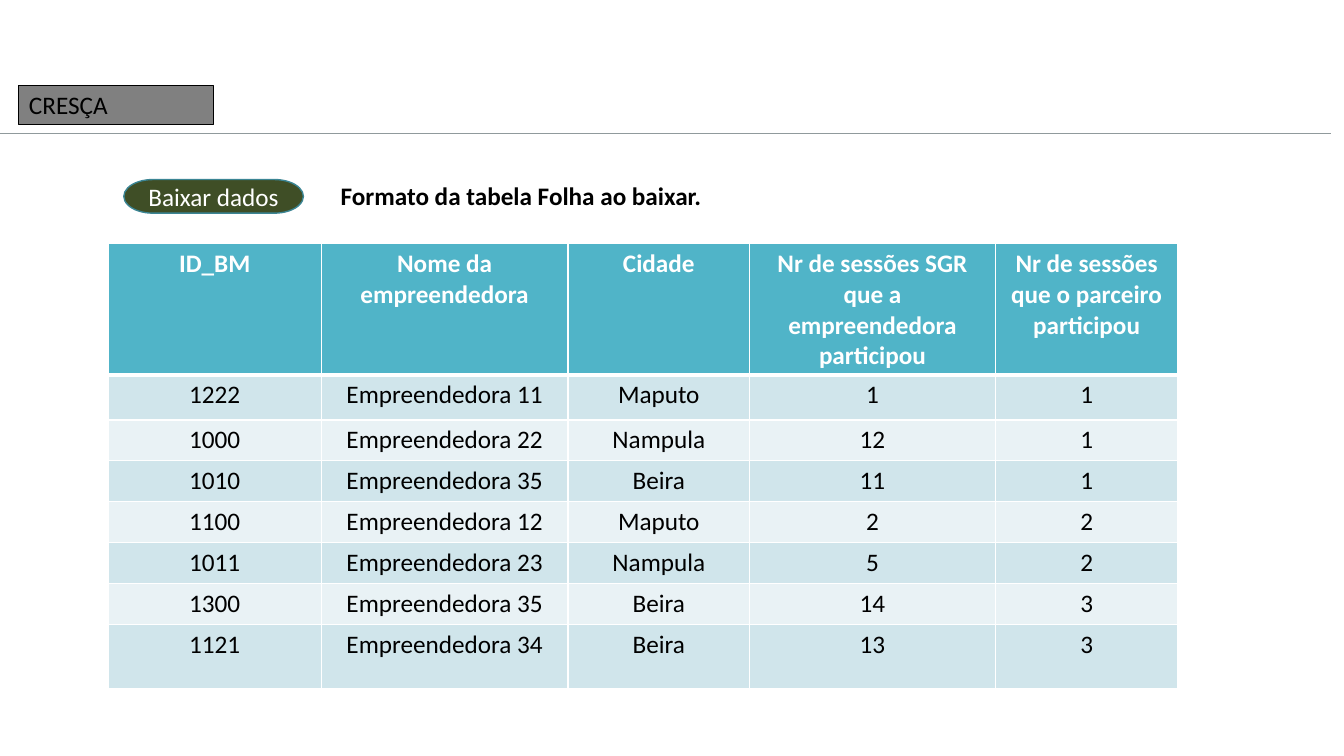
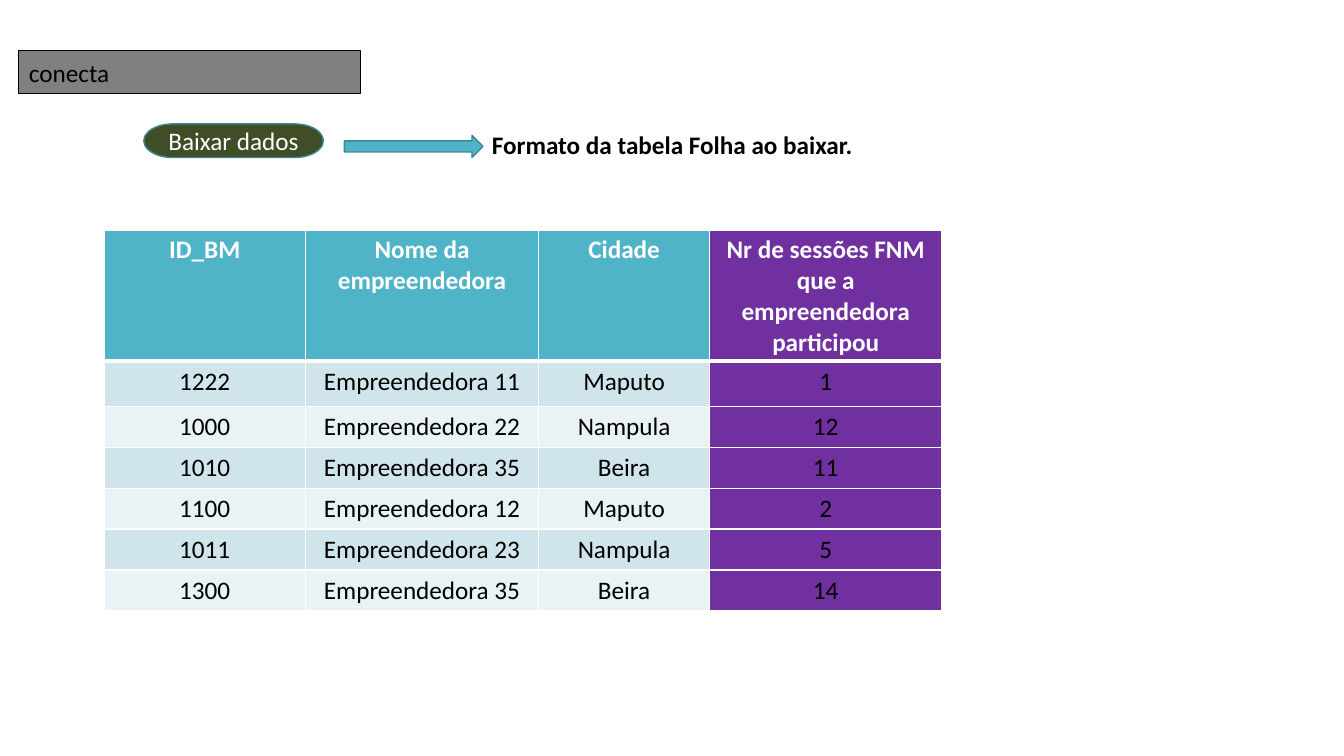
"""Builds two slides showing the spreadsheet formats offered for download."""
import pptx
import pptx.dml.color
import pptx.enum.shapes
import pptx.enum.text
import pptx.oxml
import pptx.oxml.ns
import pptx.util
from lxml import etree

RGB = pptx.dml.color.RGBColor
SHAPE = pptx.enum.shapes.MSO_SHAPE
ALIGN = pptx.enum.text.PP_ALIGN
ANCHOR = pptx.enum.text.MSO_ANCHOR

BLACK = RGB(0x00, 0x00, 0x00)
WHITE = RGB(0xFF, 0xFF, 0xFF)
GRAY = RGB(0x80, 0x80, 0x80)
DIVIDER_GRAY = RGB(0x90, 0x9A, 0x9C)
TEAL = RGB(0x50, 0xB4, 0xC8)
DARK_TEAL = RGB(0x3B, 0x85, 0x94)
OLIVE = RGB(0x3F, 0x4E, 0x26)
PURPLE = RGB(0x70, 0x30, 0xA0)
BANDS = [RGB(0xD0, 0xE5, 0xEB), RGB(0xE9, 0xF2, 0xF5)]

PX = 9525
FONT = "Calibri"
DML = pptx.oxml.ns.nsdecls("a")

ENTREPRENEURS = [
    ("1222", "Empreendedora 11", "Maputo", "1", "1"),
    ("1000", "Empreendedora 22", "Nampula", "12", "1"),
    ("1010", "Empreendedora 35", "Beira", "11", "1"),
    ("1100", "Empreendedora 12", "Maputo", "2", "2"),
    ("1011", "Empreendedora 23", "Nampula", "5", "2"),
    ("1300", "Empreendedora 35", "Beira", "14", "3"),
    ("1121", "Empreendedora 34", "Beira", "13", "3"),
]
COMMON_HEADERS = ["ID_BM", "Nome da empreendedora", "Cidade"]

PAGES = [
    {
        "title": "CRESÇA", "title_box": (18, 81, 185, 38), "title_inset": 4,
        "button": (118, 171), "caption": (315, 167),
        "divider": (-4, 127, 1268, 127), "arrow": None,
        "table": (103, 232), "widths": [203, 235, 173, 234, 174],
        "heights": [125, 43] + [39] * 5 + [61],
        "headers": COMMON_HEADERS + [
            "Nr de sessões SGR que a empreendedora participou",
            "Nr de sessões que o parceiro participou"],
        "highlight": None,
    },
    {
        "title": "conecta", "title_box": (18, 48, 325, 41), "title_inset": 7,
        "button": (137, 118), "caption": (459, 118),
        "divider": None, "arrow": (328, 129, 132, 21),
        "table": (99, 219), "widths": [192, 222, 163, 221],
        "heights": [125, 43] + [39] * 5,
        "headers": COMMON_HEADERS + [
            "Nr de sessões FNM que a empreendedora participou"],
        "highlight": 3,
    },
]


def px(*lengths):
    return [length * PX for length in lengths]


def write_text(frame, text, color=BLACK, bold=False, align=ALIGN.LEFT):
    paragraph = frame.paragraphs[0]
    paragraph.alignment = align
    run = paragraph.add_run()
    run.text = text
    run.font.name = FONT
    run.font.size = pptx.util.Pt(18)
    run.font.bold = bold
    run.font.color.rgb = color


prs = pptx.Presentation()
prs.slide_width, prs.slide_height = px(1280, 720)

for page in PAGES:
    slide = prs.slides.add_slide(prs.slide_layouts[5])

    title = slide.shapes.title
    title.left, title.top, title.width, title.height = px(*page["title_box"])
    title.fill.solid()
    title.fill.fore_color.rgb = GRAY
    title.line.color.rgb = BLACK
    title.line.width = pptx.util.Pt(0.75)
    title.text_frame.auto_size = pptx.enum.text.MSO_AUTO_SIZE.NONE
    title.text_frame.vertical_anchor = ANCHOR.TOP
    title.text_frame.margin_top = page["title_inset"] * PX
    write_text(title.text_frame, page["title"])

    if page["divider"]:
        divider = slide.shapes.add_connector(
            pptx.enum.shapes.MSO_CONNECTOR.STRAIGHT, *px(*page["divider"]))
        divider.line.color.rgb = DIVIDER_GRAY
        divider.line.width = pptx.util.Pt(0.75)
        etree.SubElement(divider.element.spPr, pptx.oxml.ns.qn("a:effectLst"))

    button = slide.shapes.add_shape(
        SHAPE.FLOWCHART_TERMINATOR, *px(*page["button"], 171, 32))
    write_text(button.text_frame, "Baixar dados", color=WHITE, align=ALIGN.CENTER)
    outlined = [(button, OLIVE)]
    if page["arrow"]:
        arrow = slide.shapes.add_shape(SHAPE.RIGHT_ARROW, *px(*page["arrow"]))
        outlined.append((arrow, TEAL))
    for shape, fill in outlined:
        shape.shadow.inherit = False
        shape.fill.solid()
        shape.fill.fore_color.rgb = fill
        shape.line.color.rgb = DARK_TEAL
        shape.line.width = pptx.util.Pt(1)

    caption = slide.shapes.add_textbox(*px(*page["caption"], 413, 38))
    caption.text_frame.word_wrap = True
    write_text(caption.text_frame, "Formato da tabela Folha ao baixar.", bold=True)

    widths, heights = page["widths"], page["heights"]
    sessions = slide.shapes.add_table(
        len(heights), len(widths),
        *px(*page["table"], sum(widths), sum(heights))).table
    for column, width in zip(sessions.columns, widths):
        column.width = width * PX
    for row, height in zip(sessions.rows, heights):
        row.height = height * PX

    records = [page["headers"]] + ENTREPRENEURS[:len(heights) - 1]
    for r, record in enumerate(records):
        is_header = r == 0
        for c, value in enumerate(record[:len(widths)]):
            cell = sessions.cell(r, c)
            write_text(cell.text_frame, value, bold=is_header,
                       color=WHITE if is_header else BLACK, align=ALIGN.CENTER)
            properties = cell._tc.get_or_add_tcPr()
            for side in ("lnL", "lnR", "lnT", "lnB"):
                thick = (is_header and side == "lnB") or (r == 1 and side == "lnT")
                width = pptx.util.Pt(3 if thick else 1)
                properties.append(pptx.oxml.parse_xml(
                    f'<a:{side} {DML} w="{width}"><a:solidFill>'
                    f'<a:srgbClr val="{WHITE}"/></a:solidFill></a:{side}>'))
            cell.fill.solid()
            if c == page["highlight"]:
                cell.fill.fore_color.rgb = PURPLE
            else:
                cell.fill.fore_color.rgb = TEAL if is_header else BANDS[(r - 1) % 2]

prs.save("out.pptx")
